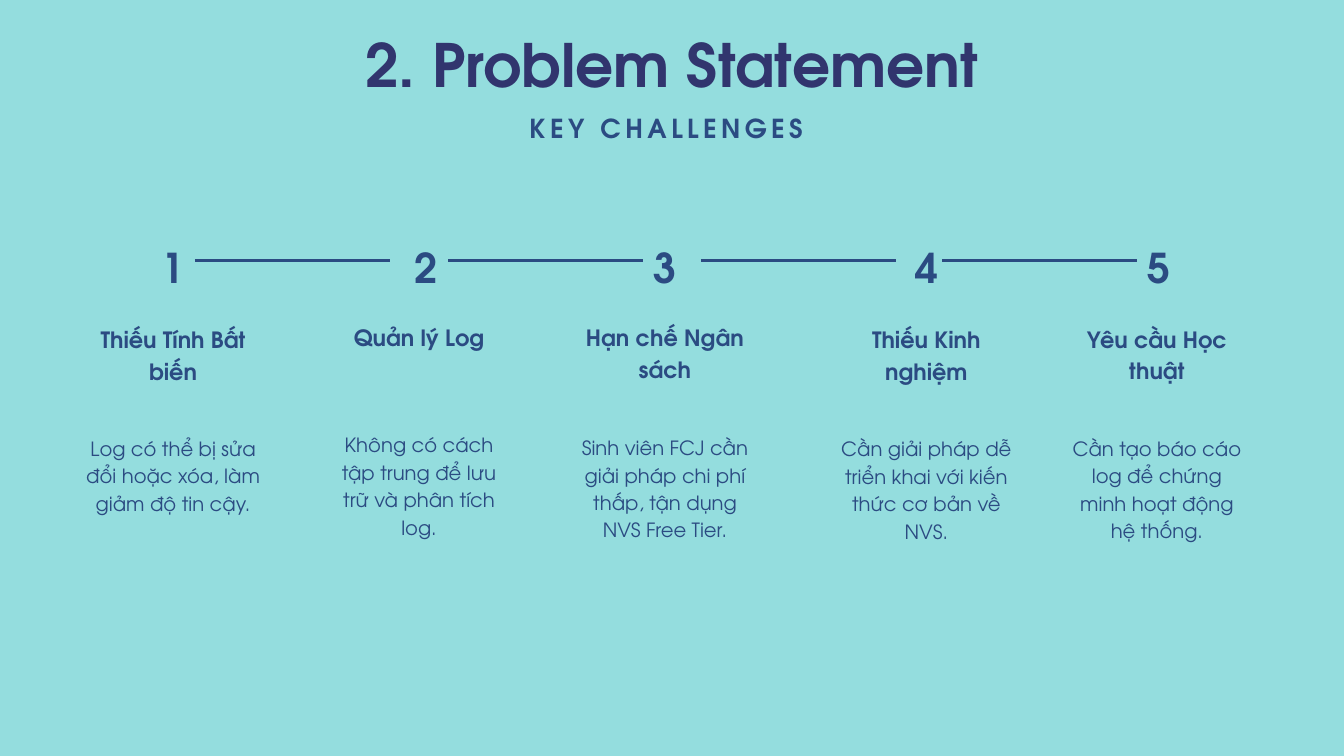
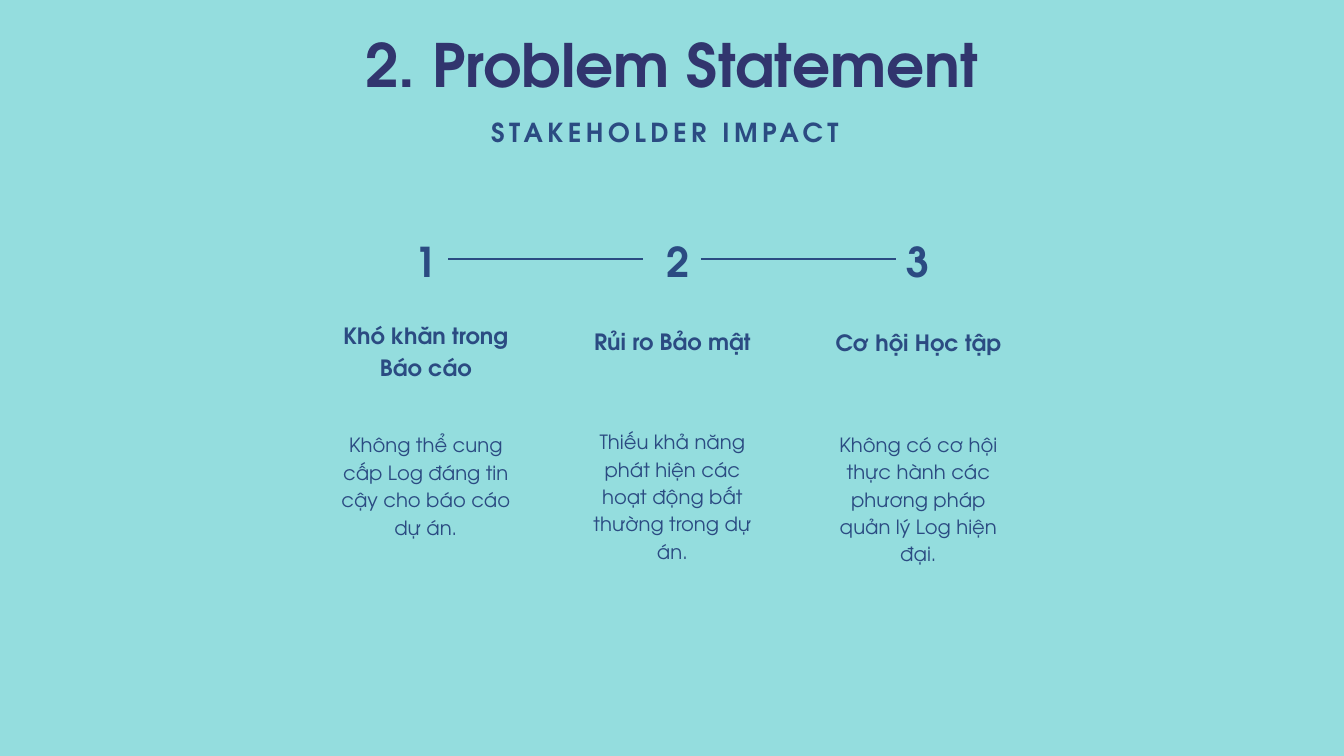
from dataclasses import dataclass
from typing import NamedTuple

from lxml.etree import SubElement
from pptx import Presentation
from pptx.dml.color import RGBColor
from pptx.enum.shapes import MSO_CONNECTOR
from pptx.enum.text import PP_ALIGN
from pptx.oxml.ns import qn
from pptx.util import Emu, Pt

SCALE = 9144


@dataclass(frozen=True)
class Theme:
    font: str = "TeX Gyre Adventor"
    background: RGBColor = RGBColor(0x94, 0xDD, 0xDE)
    title_color: RGBColor = RGBColor(0x31, 0x35, 0x6E)
    ink: RGBColor = RGBColor(0x2B, 0x4B, 0x82)
    title: float = 64
    subtitle: float = 28
    numeral: float = 44
    heading: float = 24
    body: float = 21


THEME = Theme()


class Box(NamedTuple):
    left: int
    top: int
    width: int
    height: int

    def inner(self, left, top, width, height):
        return Box(self.left + left, self.top + top, width, height)


class Step(NamedTuple):
    numeral_left: int
    column_left: int
    column_width: int
    heading_top: int
    heading_height: int
    body_top: int
    body_height: int
    heading: str
    body: str


TITLE_BOX = Box(466, 42, 1068, 215)
NUMERAL_WIDTH = 66
LINE_LENGTH = 290

CHALLENGES = [
    Step(101, 0, 269, 131, 137, 296, 160, "Thiếu Tính Bất biến",
         "Log có thể bị sửa đổi hoặc xóa, làm giảm độ tin cậy."),
    Step(478, 369, 263, 128, 93, 291, 161, "Quản lý Log",
         "Không có cách tập trung để lưu trữ và phân tích log."),
    Step(834, 732, 269, 128, 139, 295, 202, "Hạn chế Ngân sách",
         "Sinh viên FCJ cần giải pháp chi phí thấp, tận dụng NVS Free Tier."),
    Step(1223, 1109, 293, 131, 137, 297, 160, "Thiếu Kinh nghiệm",
         "Cần giải pháp dễ triển khai với kiến thức cơ bản về NVS."),
    Step(1569, 1464, 269, 130, 137, 296, 160, "Yêu cầu Học thuật",
         "Cần tạo báo cáo log để chứng minh hoạt động hệ thống."),
]

IMPACTS = [
    Step(102, 0, 269, 133, 137, 299, 119, "Khó khăn trong Báo cáo",
         "Không thể cung cấp Log đáng tin cậy cho báo cáo dự án."),
    Step(477, 370, 263, 141, 93, 294, 202, "Rủi ro Bảo mật",
         "Thiếu khả năng phát hiện các hoạt động bất thường trong dự án."),
    Step(834, 733, 269, 143, 93, 298, 202, "Cơ hội Học tập",
         "Không có cơ hội thực hành các phương pháp quản lý Log hiện đại."),
]


def px(value):
    return Emu(value * SCALE)


def add_text(page, box, text, *, size, leading=1.4, color=THEME.ink, bold=False, spacing=0):
    shape = page.shapes.add_textbox(*map(px, box))
    frame = shape.text_frame
    frame.word_wrap = True
    frame.margin_left = frame.margin_top = frame.margin_right = frame.margin_bottom = 0
    para = frame.paragraphs[0]
    para.alignment = PP_ALIGN.CENTER
    para.line_spacing = Pt(size * leading)
    span = para.add_run()
    span.text = text
    span.font.name = THEME.font
    span.font.size = Pt(size)
    span.font.bold = bold
    span.font.color.rgb = color
    if spacing:
        span.font._element.set("spc", str(round(spacing * 100)))
    return shape


def add_header(page, box, subtitle, subtitle_box):
    add_text(page, box, "2. Problem Statement", size=THEME.title, leading=1.2,
             color=THEME.title_color, bold=True)
    add_text(page, box.inner(*subtitle_box), subtitle, size=THEME.subtitle,
             bold=True, spacing=4.8)


def add_step(page, box, number, step):
    heading_box = box.inner(step.column_left, step.heading_top,
                            step.column_width, step.heading_height)
    body_box = box.inner(step.column_left, step.body_top,
                         step.column_width, step.body_height)
    add_text(page, heading_box, step.heading, size=THEME.heading, bold=True)
    add_text(page, body_box, step.body, size=THEME.body)
    numeral_box = box.inner(step.numeral_left, 0, NUMERAL_WIDTH, box.height)
    return add_text(page, numeral_box, str(number), size=THEME.numeral,
                    bold=True, spacing=7.5)


def add_link(page, start, y, before, after, weight):
    left, right = px(start), px(start + LINE_LENGTH)
    link = page.shapes.add_connector(MSO_CONNECTOR.STRAIGHT, left, px(y), right, px(y))
    link.line.color.rgb = THEME.ink
    link.line.width = Pt(weight)
    SubElement(link._element.spPr, qn("a:effectLst"))
    if left == before.left + before.width:
        link.begin_connect(before, 3)
    if right == after.left:
        link.end_connect(after, 1)


def add_timeline(page, box, steps, link_starts, weight):
    numerals = [add_step(page, box, number, step) for number, step in enumerate(steps, 1)]
    for start, before, after in zip(link_starts, numerals, numerals[1:]):
        add_link(page, box.left + start, box.top + box.height // 2, before, after, weight)


def add_problem_page(deck, subtitle, subtitle_box, box, steps, link_starts, weight):
    page = deck.slides.add_slide(deck.slide_layouts[6])
    page.background.fill.solid()
    page.background.fill.fore_color.rgb = THEME.background
    add_timeline(page, box, steps, link_starts, weight)
    add_header(page, TITLE_BOX, subtitle, subtitle_box)


def main():
    deck = Presentation()
    deck.slide_width, deck.slide_height = px(2000), px(1125)
    add_problem_page(deck, "KEY CHALLENGES", (240, 118, 571, 109),
                     Box(123, 348, 1733, 80), CHALLENGES, (167, 544, 920, 1279), 3)
    add_problem_page(deck, "STAKEHOLDER IMPACT", (195, 124, 657, 55),
                     Box(499, 340, 1002, 90), IMPACTS, (168, 544), 2.25)
    deck.save("out.pptx")


if __name__ == "__main__":
    main()
